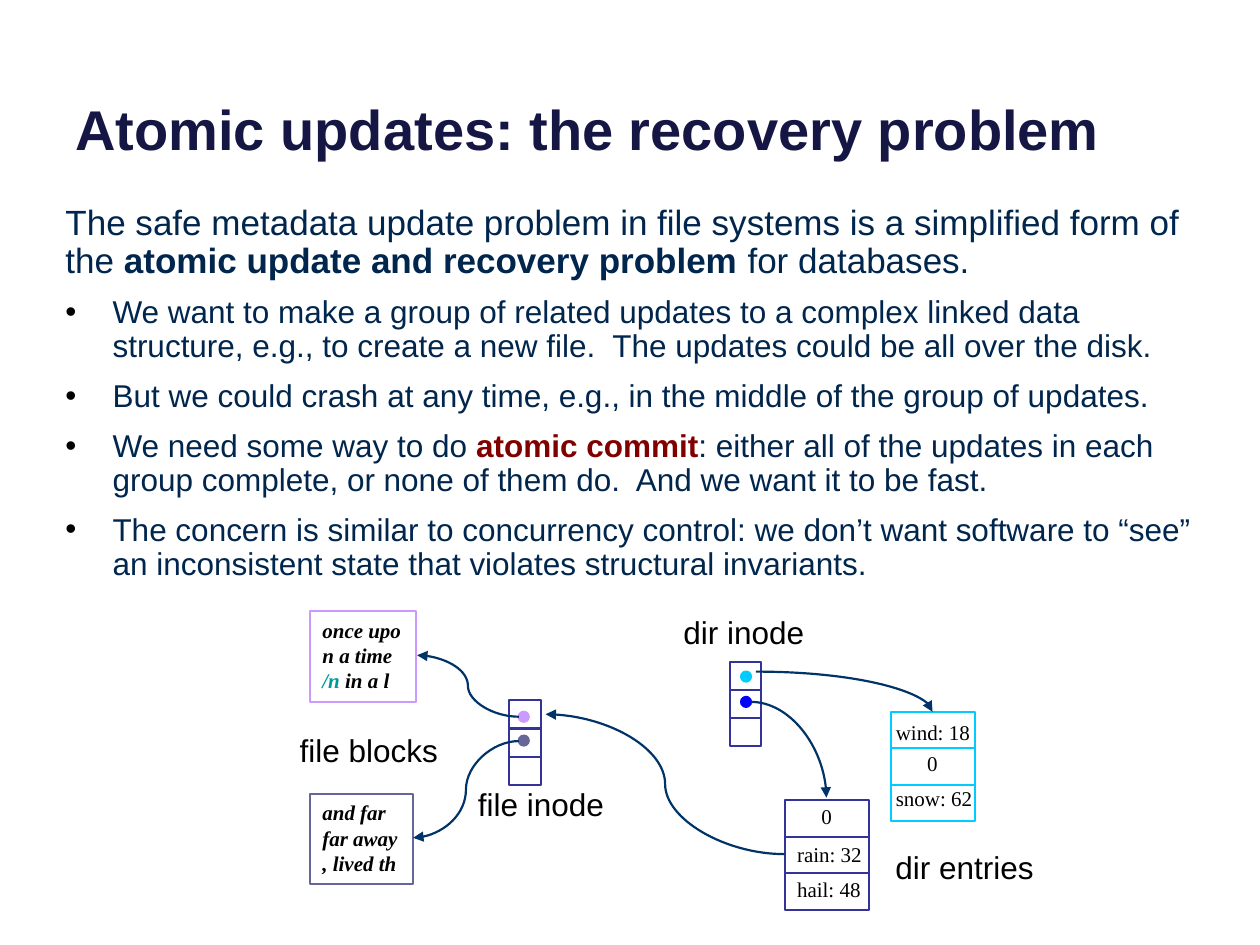
"""Build the slide on atomic updates and the recovery problem."""
import dataclasses

import lxml.etree
import pptx
import pptx.dml.color
import pptx.enum.shapes
import pptx.enum.text
import pptx.oxml.ns
import pptx.util

Cm = pptx.util.Cm
Pt = pptx.util.Pt
qn = pptx.oxml.ns.qn
Shapes = pptx.enum.shapes.MSO_SHAPE
Connectors = pptx.enum.shapes.MSO_CONNECTOR
Align = pptx.enum.text.PP_ALIGN
Anchor = pptx.enum.text.MSO_ANCHOR
AutoSize = pptx.enum.text.MSO_AUTO_SIZE


@dataclasses.dataclass(frozen=True)
class Theme:
    sans: str = "Arial"
    serif: str = "Times New Roman"
    title_size: int = 32
    lead_size: int = 20
    body_size: int = 18
    data_size: int = 12
    line_width: float = 1.25
    title: str = "161645"
    body: str = "00264D"
    accent: str = "800000"
    black: str = "000000"
    white: str = "FFFFFF"
    navy: str = "333399"
    arrow: str = "003367"
    lilac: str = "CC99FF"
    slate: str = "666699"
    cyan: str = "00CCFF"
    blue: str = "0000FF"
    teal: str = "009999"


def rgb(value):
    return pptx.dml.color.RGBColor.from_string(value)


class SlideBuilder:
    def __init__(self, theme, slide):
        self.theme = theme
        self.shapes = slide.shapes

    def span(self, para, text, size, color, font=None, bold=False, italic=False):
        span = para.add_run()
        span.text = text
        span.font.name = font or self.theme.sans
        span.font.size = Pt(size)
        span.font.color.rgb = rgb(color)
        span.font.bold = bold
        span.font.italic = italic

    def text_box(self, left, top, width, height, wrap=True):
        frame = self.shapes.add_textbox(Cm(left), Cm(top), Cm(width), Cm(height)).text_frame
        frame.word_wrap = wrap
        return frame

    def title(self, text):
        frame = self.text_box(1.27, -0.94, 22.86, 4.32)
        frame.vertical_anchor = Anchor.BOTTOM
        self.span(frame.paragraphs[0], text, self.theme.title_size, self.theme.title, bold=True)

    def bullet(self, para):
        properties = para._p.get_or_add_pPr()
        properties.set("marL", str(Cm(0.95)))
        properties.set("indent", str(-Cm(0.95)))
        color = lxml.etree.SubElement(properties, qn("a:buClr"))
        lxml.etree.SubElement(color, qn("a:srgbClr"), val=self.theme.black)
        lxml.etree.SubElement(properties, qn("a:buFont"), typeface=self.theme.sans)
        lxml.etree.SubElement(properties, qn("a:buChar"), char="•")

    def body(self, lead, points):
        frame = self.text_box(1.07, 4.01, 23.7, 13.77)
        for index, parts in enumerate([lead] + points):
            para = frame.add_paragraph() if index else frame.paragraphs[0]
            size = self.theme.body_size if index else self.theme.lead_size
            if index:
                self.bullet(para)
                para.space_before = Pt(9)
            para.line_spacing = 0.9
            for text, color, bold in parts:
                self.span(para, text, size, color, bold=bold)

    def caption(self, text, left, top):
        para = self.text_box(left, top, 3.43, 1.02).paragraphs[0]
        para.alignment = Align.CENTER
        self.span(para, text, self.theme.body_size, self.theme.black)

    def shape(self, kind, left, top, width, height, line, fill=None):
        shape = self.shapes.add_shape(kind, Cm(left), Cm(top), Cm(width), Cm(height))
        shape.shadow.inherit = False
        if fill:
            shape.fill.solid()
            shape.fill.fore_color.rgb = rgb(fill)
        else:
            shape.fill.background()
        shape.line.color.rgb = rgb(line)
        shape.line.width = Pt(self.theme.line_width)
        return shape

    def connector(self, kind, start, end, color):
        x1, y1, x2, y2 = (Cm(value) for value in start + end)
        connector = self.shapes.add_connector(kind, x1, y1, x2, y2)
        connector.line.color.rgb = rgb(color)
        connector.line.width = Pt(self.theme.line_width)
        lxml.etree.SubElement(connector._element.spPr, qn("a:effectLst"))
        return connector

    def pointer(self, start, end, bend_once=False):
        connector = self.connector(Connectors.CURVE, start, end, self.theme.arrow)
        line = connector.line._get_or_add_ln()
        lxml.etree.SubElement(line, qn("a:tailEnd"), type="triangle")
        if bend_once:
            connector._element.spPr.find(qn("a:prstGeom")).set("prst", "curvedConnector2")

    def stack(self, left, top, width, height, color, rows=3):
        self.shape(Shapes.RECTANGLE, left, top, width, height, color, self.theme.white)
        for row in range(1, rows):
            y = top + height * row / rows
            self.connector(Connectors.STRAIGHT, (left, y), (left + width, y), color)

    def inode(self, left, top):
        self.stack(left, top, 0.64, 1.7, self.theme.navy)

    def dot(self, left, top, color):
        self.shape(Shapes.OVAL, left, top, 0.2, 0.2, color, color)

    def entries(self, left, top, color, labels):
        self.stack(left, top, 1.7, 2.21, color)
        for text, x, y, width in labels:
            frame = self.text_box(x, y, width, 0.76, wrap=False)
            frame.auto_size = AutoSize.SHAPE_TO_FIT_TEXT
            self.span(frame.paragraphs[0], text, self.theme.data_size,
                      self.theme.black, self.theme.serif)

    def block(self, top, width, color, lines):
        frame = self.shape(Shapes.RECTANGLE, 6.25, top, width, 1.83, color).text_frame
        frame.word_wrap = False
        frame.vertical_anchor = Anchor.TOP
        for index, parts in enumerate(lines):
            para = frame.add_paragraph() if index else frame.paragraphs[0]
            para.alignment = Align.LEFT
            for text, text_color in parts:
                self.span(para, text, self.theme.data_size, text_color,
                          self.theme.serif, bold=True, italic=True)


def main():
    theme = Theme()
    deck = pptx.Presentation()
    deck.slide_width, deck.slide_height = Cm(25.4), Cm(19.05)
    page = SlideBuilder(theme, deck.slides.add_slide(deck.slide_layouts[6]))
    ink, black = theme.body, theme.black

    page.title("Atomic updates: the recovery problem")
    page.body(
        [("The safe metadata update problem in file systems is a simplified form of the ", ink, False),
         ("atomic update and recovery problem ", ink, True), ("for databases.", ink, False)],
        [[("We want to make a group of related updates to a complex linked data structure, "
           "e.g., to create a new file.  The updates could be all over the disk.", ink, False)],
         [("But we could crash at any time, e.g., in the middle of the group of updates.", ink, False)],
         [("We need some way to do ", ink, False), ("atomic commit", theme.accent, True),
          (": either all of the updates in each group complete, or none of them do.  "
           "And we want it to be fast.", ink, False)],
         [("The concern is similar to concurrency control: we don’t want software to “see” "
           "an inconsistent state that violates structural invariants.", ink, False)]])

    page.entries(15.82, 16.13, theme.navy, [
        ("0", 16.31, 16.08, 0.71), ("rain: 32", 15.82, 16.84, 1.83), ("hail: 48", 15.82, 17.55, 1.8)])
    page.entries(17.96, 14.35, theme.cyan, [
        ("wind: 18", 17.81, 14.38, 2.01), ("0", 18.44, 15.01, 0.71), ("snow: 62", 17.81, 15.72, 2.06)])
    page.inode(10.26, 14.12)
    page.inode(14.71, 13.34)
    for dot in [(10.46, 14.35, theme.lilac), (10.46, 14.83, theme.slate),
                (14.94, 13.54, theme.cyan), (14.94, 14.05, theme.blue)]:
        page.dot(*dot)
    page.block(12.32, 2.13, theme.lilac, [
        [("once upo", black)], [("n a time", black)], [("/n", theme.teal), (" in a l", black)]])
    page.block(16, 2.08, theme.slate, [
        [("and far", black)], [("far away", black)], [(", lived th", black)]])
    page.pointer((10.46, 14.45), (8.41, 13.21))
    page.pointer((10.46, 14.94), (8.33, 16.89))
    page.pointer((15.82, 17.22), (11, 14.4))
    page.pointer((15.14, 14.15), (16.66, 16.08), bend_once=True)
    page.pointer((15.24, 13.54), (18.8, 14.35), bend_once=True)
    for caption in [("file inode", 9.19, 15.7), ("dir inode", 13.28, 12.24),
                    ("dir entries", 17.73, 16.97), ("file blocks", 5.72, 14.61)]:
        page.caption(*caption)
    deck.save("out.pptx")


if __name__ == "__main__":
    main()
